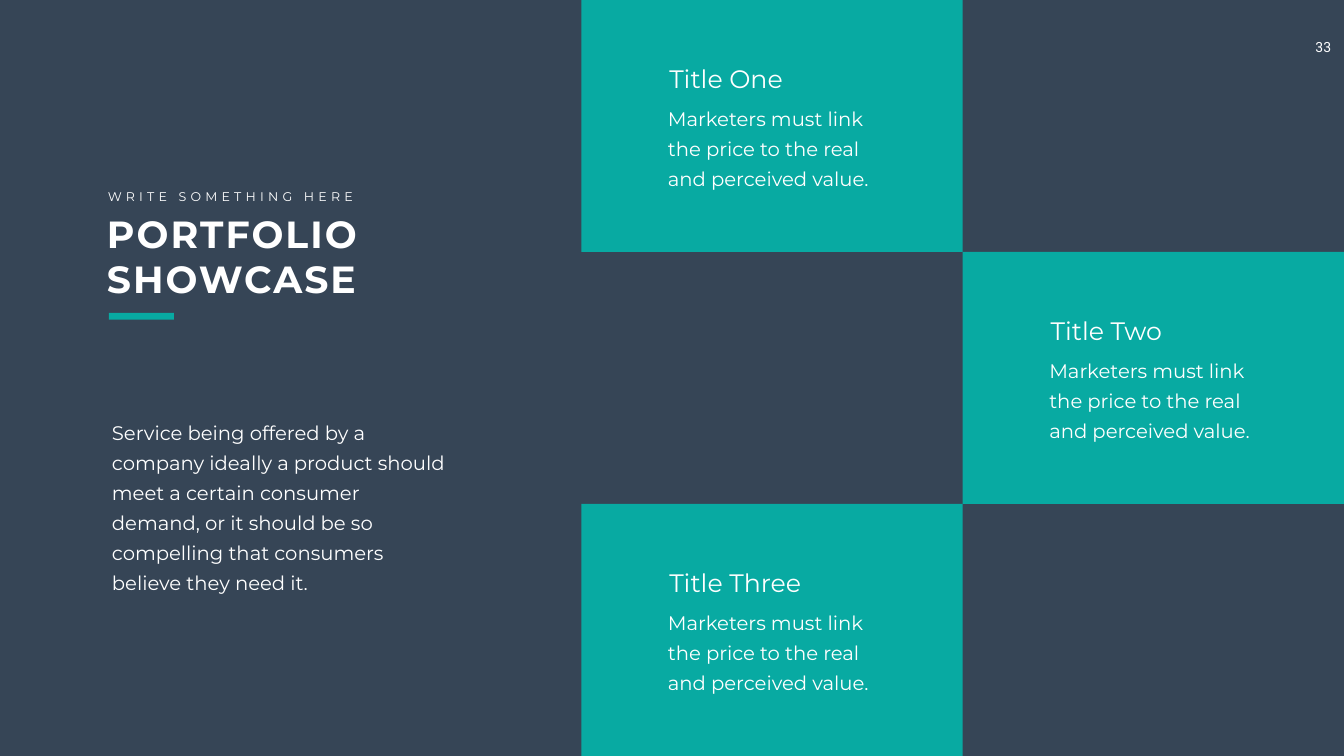
import pptx
import pptx.dml.color
import pptx.enum.shapes
import pptx.enum.text
import pptx.util

NAVY, TEAL, WHITE = "364556", "08AAA2", "FFFFFF"
CARD_TEXT = "Marketers must link the price to the real and perceived value."
SERVICE_TEXT = (
    "Service being offered by a company ideally a product should meet a certain consumer "
    "demand, or it should be so compelling that consumers believe they need it."
)
TILES_LEFT = 43.25
TILE_WIDTH = (100 - TILES_LEFT) / 2
TILE_HEIGHT = 100 / 3
CARDS = [("Title One", 0, 0), ("Title Two", 1, 1), ("Title Three", 0, 2)]


def color(hex_string):
    return pptx.dml.color.RGBColor.from_string(hex_string)


def write(box, text, size, font="Montserrat", bold=False, tracking=0, leading=None,
          align=pptx.enum.text.PP_ALIGN.LEFT, wrap=True, inset=0.1):
    frame = box.text_frame
    frame.word_wrap = wrap
    frame.auto_size = pptx.enum.text.MSO_AUTO_SIZE.NONE
    frame.vertical_anchor = pptx.enum.text.MSO_ANCHOR.TOP
    frame.margin_left = frame.margin_right = pptx.util.Inches(inset)
    frame.margin_top = frame.margin_bottom = pptx.util.Inches(inset / 2)
    para = frame.paragraphs[0]
    para.alignment = align
    if leading:
        para.line_spacing = pptx.util.Pt(leading)
    span = para.add_run()
    span.text = text
    span.font.size = pptx.util.Pt(size)
    span.font.name = font
    span.font.bold = bold
    span.font.color.rgb = color(WHITE)
    if tracking:
        span.font._element.set("spc", str(tracking * 100))


class Page:
    def __init__(self, deck, background):
        self.deck = deck
        self.slide = deck.slides.add_slide(deck.slide_layouts.get_by_name("Title Only"))
        fill = self.slide.background.fill
        fill.solid()
        fill.fore_color.rgb = color(background)

    def area(self, left, top, width, height):
        across, down = self.deck.slide_width / 100, self.deck.slide_height / 100
        return [round(left * across), round(top * down), round(width * across), round(height * down)]

    def title(self, text, *percents, **style):
        box = self.slide.shapes.title
        box.left, box.top, box.width, box.height = self.area(*percents)
        write(box, text, **style)

    def text(self, text, *percents, **style):
        box = self.slide.shapes.add_textbox(*self.area(*percents))
        write(box, text, **style)

    def block(self, *percents, fill=TEAL):
        rectangle = pptx.enum.shapes.MSO_SHAPE.RECTANGLE
        shape = self.slide.shapes.add_shape(rectangle, *self.area(*percents))
        shape.shadow.inherit = False
        shape.fill.solid()
        shape.fill.fore_color.rgb = color(fill)
        shape.line.fill.background()

    def card(self, heading, column, row):
        left = TILES_LEFT + column * TILE_WIDTH
        top = row * TILE_HEIGHT
        self.block(left, top, TILE_WIDTH, TILE_HEIGHT)
        self.text(heading, left + 6.18, top + 8.07, 10.84, 4.73, size=36, wrap=False)
        self.text(CARD_TEXT, left + 6.08, top + 12.93, 16.2, 12.4, size=28, leading=43)


def main():
    deck = pptx.Presentation()
    deck.slide_width = pptx.util.Inches(26.66)
    deck.slide_height = pptx.util.Inches(15)
    page = Page(deck, NAVY)
    page.text("33", 96.76, 4.47, 3.41, 3.6, size=20, font="Roboto", wrap=False,
              align=pptx.enum.text.PP_ALIGN.CENTER, inset=0.2)
    for heading, column, row in CARDS:
        page.card(heading, column, row)
    page.title("PORTFOLIO SHOWCASE", 7.58, 27.53, 33.91, 12.8, size=54, bold=True, tracking=3)
    page.text("WRITE SOMETHING HERE", 7.65, 24.67, 19.43, 2.67, size=18, tracking=6, wrap=False)
    page.block(8.1, 41.4, 4.84, 0.87)
    page.text(SERVICE_TEXT, 7.43, 54, 27.04, 21.33, size=28, leading=43, inset=0.24)
    deck.save("out.pptx")


if __name__ == "__main__":
    main()
